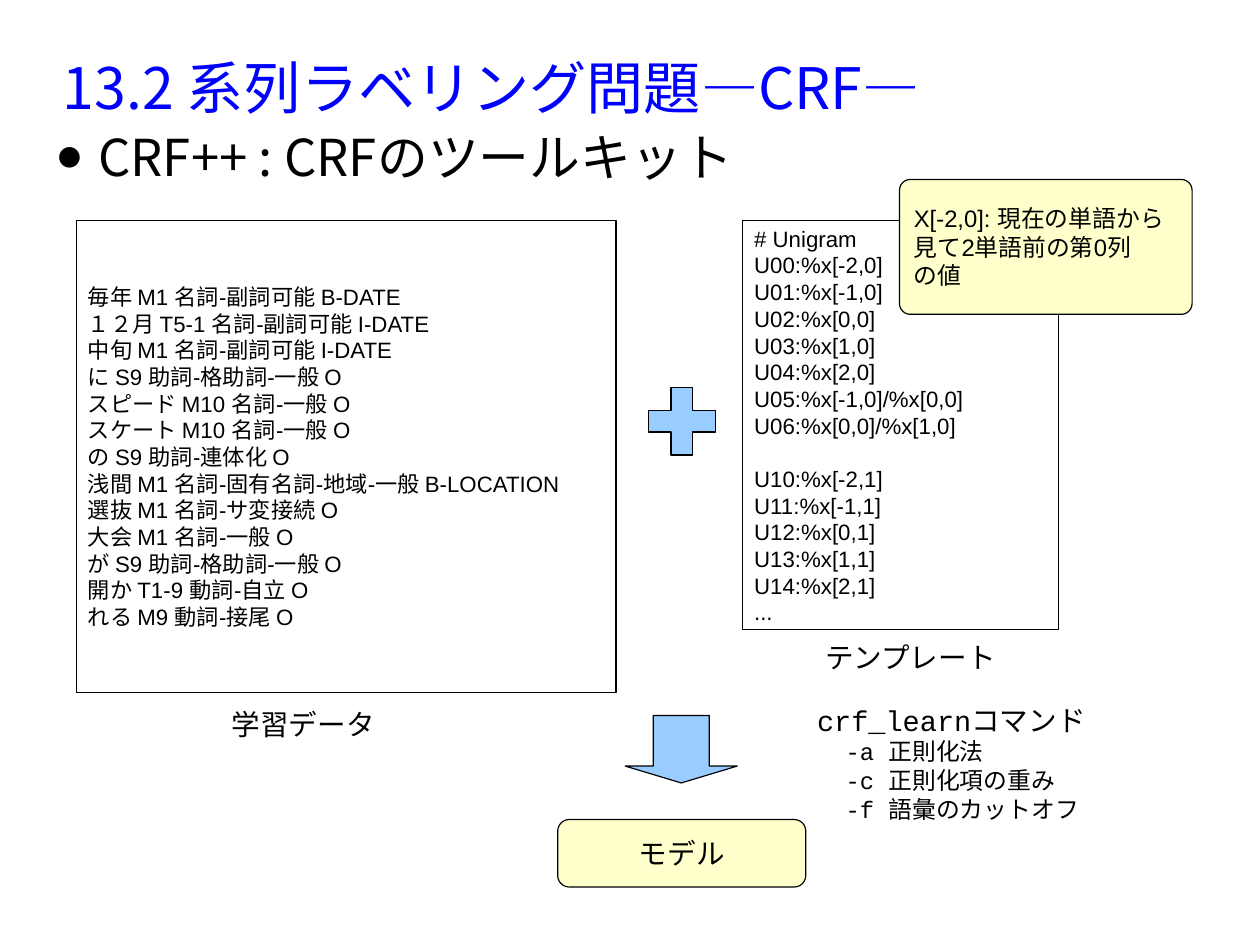
import pptx
import pptx.util
import pptx.dml.color
import pptx.enum.shapes
import pptx.enum.text
from lxml import etree

Inches, Pt = pptx.util.Inches, pptx.util.Pt
SHAPE = pptx.enum.shapes.MSO_SHAPE
ANCHOR = pptx.enum.text.MSO_ANCHOR
ALIGN = pptx.enum.text.PP_ALIGN

# Content
TITLE = "13.2 系列ラベリング問題―CRF―"
TOPIC = "CRF++ : CRFのツールキット"
TRAINING_ROWS = [
    "毎年 M1 名詞-副詞可能 B-DATE",
    "１２月 T5-1 名詞-副詞可能 I-DATE",
    "中旬 M1 名詞-副詞可能 I-DATE",
    "に S9 助詞-格助詞-一般 O",
    "スピード M10 名詞-一般 O",
    "スケート M10 名詞-一般 O",
    "の S9 助詞-連体化 O",
    "浅間 M1 名詞-固有名詞-地域-一般 B-LOCATION",
    "選抜 M1 名詞-サ変接続 O",
    "大会 M1 名詞-一般 O",
    "が S9 助詞-格助詞-一般 O",
    "開か T1-9 動詞-自立 O",
    "れる M9 動詞-接尾 O",
]
WORD_FEATURES = [
    "# Unigram",
    "U00:%x[-2,0]",
    "U01:%x[-1,0]",
    "U02:%x[0,0]",
    "U03:%x[1,0]",
    "U04:%x[2,0]",
    "U05:%x[-1,0]/%x[0,0]",
    "U06:%x[0,0]/%x[1,0]",
]
TAG_FEATURES = [
    "U10:%x[-2,1]",
    "U11:%x[-1,1]",
    "U12:%x[0,1]",
    "U13:%x[1,1]",
    "U14:%x[2,1]",
    "...",
]
CALLOUT = ["X[-2,0]: 現在の単語から", "見て2単語前の第0列", "の値"]
COMMAND = ["crf_learnコマンド", "-a 正則化法", "-c 正則化項の重み", "-f 語彙のカットオフ"]

CJK = "Noto Sans CJK JP"
BLACK, BLUE, SKY, CREAM = "000000", "0000FF", "99CCFF", "FFFFCC"

# Page of 28 by 21 centimetres
deck = pptx.Presentation()
deck.slide_width = Inches(28 / 2.54)
deck.slide_height = Inches(21 / 2.54)
slide = deck.slides.add_slide(deck.slide_layouts[6])


def rgb(value):
    return pptx.dml.color.RGBColor.from_string(value)


def write(holder, lines, size, font="Arial", color=BLACK, inset=(0.1, 0.05),
          anchor=ANCHOR.MIDDLE, align=ALIGN.LEFT, wrap=True):
    frame = holder.text_frame
    frame.margin_left = frame.margin_right = Inches(inset[0])
    frame.margin_top = frame.margin_bottom = Inches(inset[1])
    frame.vertical_anchor, frame.word_wrap = anchor, wrap
    frame.text = "\n".join(lines)
    for paragraph in frame.paragraphs:
        paragraph.alignment = align
        for run in paragraph.runs:
            run.font.size, run.font.name = Pt(size), font
            run.font.color.rgb = rgb(color)
    return frame.paragraphs


def label(place, lines, size, **style):
    box = slide.shapes.add_textbox(*map(Inches, place))
    return write(box, lines, size, **style)


def outlined(kind, place, fill=None, adjust=()):
    shape = slide.shapes.add_shape(kind, *map(Inches, place))
    shape.shadow.inherit = False
    for index, value in enumerate(adjust):
        shape.adjustments[index] = value
    if fill:
        shape.fill.solid()
        shape.fill.fore_color.rgb = rgb(fill)
    else:
        shape.fill.background()
    shape.line.color.rgb = rgb(BLACK)
    shape.line.width = Pt(0)
    return shape


# Title and bulleted topic
label((0.55, 0.33, 9.92, 0.85), [TITLE], 36, font=CJK, color=BLUE, inset=(0, 0))
topic = label((0.39, 1.1, 9.92, 1.21), [TOPIC], 32, font=CJK, inset=(0, 0),
              anchor=ANCHOR.TOP)[0]
bullet = topic._p.get_or_add_pPr()
bullet.set("marL", str(Inches(0.47)))
bullet.set("indent", str(Inches(-0.35)))
for tag, key, value in (("buSzPct", "val", "45000"), ("buFont", "typeface", CJK),
                        ("buChar", "char", "●")):
    etree.SubElement(bullet, pptx.oxml.ns.qn("a:" + tag)).set(key, value)

# Training data and template
training = outlined(SHAPE.RECTANGLE, (0.67, 1.93, 4.72, 4.13))
write(training, TRAINING_ROWS, 14, wrap=False)
label((1.93, 6.14, 1.45, 0.47), ["学習データ"], 18, anchor=ANCHOR.TOP, wrap=False)

template = outlined(SHAPE.RECTANGLE, (6.5, 1.93, 2.76, 3.58))
features = write(template, WORD_FEATURES + TAG_FEATURES, 14)
features[len(WORD_FEATURES)].space_before = Pt(16.8)
label((7.12, 5.55, 1.7, 0.47), ["テンプレート"], 18, anchor=ANCHOR.TOP, wrap=False)

# Plus, arrow and resulting model
outlined(SHAPE.CROSS, (5.67, 3.39, 0.59, 0.59), SKY, [0.34])
outlined(SHAPE.DOWN_ARROW, (5.47, 6.26, 0.98, 0.59), SKY, [0.5, 0.25])
model = outlined(SHAPE.ROUNDED_RECTANGLE, (4.88, 7.17, 2.17, 0.59), CREAM, [0.17])
write(model, ["モデル"], 18, align=ALIGN.CENTER)

# Command and its options
command = label((7.05, 6.1, 2.6, 1.41), COMMAND, 18, font="Courier New", anchor=ANCHOR.TOP)
for option in command[1:]:
    option._p.get_or_add_pPr().set("marL", str(Inches(0.25)))
    option.runs[0].font.size = Pt(15)

# Callout over the template
callout = outlined(SHAPE.ROUNDED_RECTANGLE, (7.87, 1.57, 2.56, 1.18), CREAM, [0.08])
write(callout, CALLOUT, 15)

deck.save("out.pptx")
